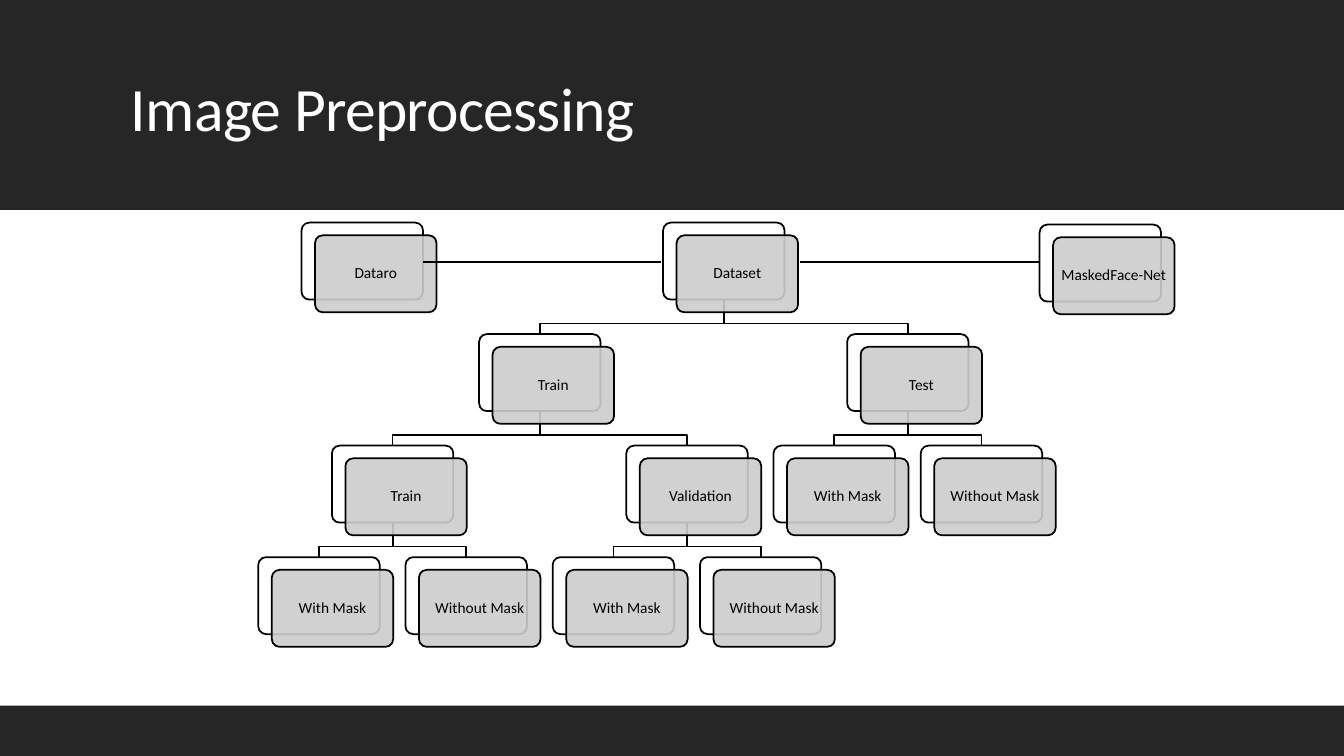
from lxml import etree
from pptx import Presentation
from pptx.dml.color import RGBColor
from pptx.enum.shapes import MSO_CONNECTOR, MSO_SHAPE
from pptx.enum.text import MSO_ANCHOR, PP_ALIGN
from pptx.oxml.ns import qn
from pptx.util import Cm, Pt

RECT = MSO_SHAPE.RECTANGLE
ROUND = MSO_SHAPE.ROUNDED_RECTANGLE
LINE = MSO_CONNECTOR.STRAIGHT
MIDDLE = MSO_ANCHOR.MIDDLE
LEFT = PP_ALIGN.LEFT
CENTER = PP_ALIGN.CENTER

COLORS = {"white": "FFFFFF", "dark": "262626", "grey": "CCCCCC", "black": "000000"}

WIDE, HIGH = 33.87, 19.05
CARD_W, CARD_H = 3.06, 1.94
SHIFT_X, SHIFT_Y = 0.34, 0.32
TREE_X, TREE_Y = 6.51, 5.61
STEP_X, STEP_Y = 3.71, 2.81
DROP = 0.6

# name, column, level, parent
NODES = [
    ("Dataset", 2.75, 0, None),
    ("Train", 1.5, 1, 0),
    ("Train", 0.5, 2, 1),
    ("With Mask", 0, 3, 2),
    ("Without Mask", 1, 3, 2),
    ("Validation", 2.5, 2, 1),
    ("With Mask", 2, 3, 5),
    ("Without Mask", 3, 3, 5),
    ("Test", 4, 1, 0),
    ("With Mask", 3.5, 2, 8),
    ("Without Mask", 4.5, 2, 8),
]
SOURCES = [("MaskedFace-Net", 26.2, 5.66), ("Dataro", 7.6, 5.61)]
LINKS = [(10.66, 16.67), (20.17, 26.19)]
LINK_Y = 6.6


def color(name):
    return RGBColor.from_string(COLORS[name])


def assign(target, values):
    for key, value in values.items():
        setattr(target, key, value)


class Board:
    font = "Calibri"
    edge = Pt(1.25)

    def __init__(self, slide):
        self.shapes = slide.shapes

    def stroke(self, shape, width):
        shape.line.color.rgb = color("black")
        shape.line.width = width

    def box(self, kind, x, y, w, h, fill):
        shape = self.shapes.add_shape(kind, Cm(x), Cm(y), Cm(w), Cm(h))
        shape.shadow.inherit = False
        shape.fill.solid()
        shape.fill.fore_color.rgb = color(fill)
        shape.line.fill.background()
        return shape

    def text(self, shape, words, size, ink, align, inset):
        frame = shape.text_frame
        sides = ("left", "top", "right", "bottom")
        assign(frame, {f"margin_{side}": Cm(inset) for side in sides})
        assign(frame, {"word_wrap": True, "vertical_anchor": MIDDLE})
        para = frame.paragraphs[0]
        assign(para, {"alignment": align, "line_spacing": 0.9})
        run = para.add_run()
        run.text = words
        assign(run.font, {"name": self.font, "size": Pt(size)})
        run.font.color.rgb = color(ink)
        return run

    def title(self, words):
        shape = self.shapes.add_textbox(Cm(3.05), Cm(0.79), Cm(27.94), Cm(4.04))
        run = self.text(shape, words, 44, "white", LEFT, 0.25)
        run.font._element.set("spc", "-50")

    def card(self, words, x, y):
        back = self.box(ROUND, x, y, CARD_W, CARD_H, "white")
        front = self.box(ROUND, x + SHIFT_X, y + SHIFT_Y, CARD_W, CARD_H, "grey")
        for shape in (back, front):
            shape.adjustments[0] = 0.1
            self.stroke(shape, self.edge)
        tint = front._element.spPr.find(qn("a:solidFill"))[0]
        etree.SubElement(tint, qn("a:alpha")).set("val", "90000")
        self.text(front, words, 11, "black", CENTER, 0.1)

    def elbow(self, start, end):
        (x, y), (to_x, to_y) = start, end
        bend = y + DROP
        pen = self.shapes.build_freeform(Cm(x), Cm(y))
        turns = [(x, bend), (to_x, bend), (to_x, to_y)]
        pen.add_line_segments([(Cm(a), Cm(b)) for a, b in turns], close=False)
        shape = pen.convert_to_shape()
        shape.shadow.inherit = False
        shape.fill.background()
        self.stroke(shape, self.edge)

    def link(self, x, to_x, y):
        line = self.shapes.add_connector(LINE, Cm(x), Cm(y), Cm(to_x), Cm(y))
        self.stroke(line, Pt(1))
        etree.SubElement(line._element.spPr, qn("a:effectLst"))


def place(node):
    return TREE_X + node[1] * STEP_X, TREE_Y + node[2] * STEP_Y


def main():
    deck = Presentation()
    assign(deck, {"slide_width": Cm(WIDE), "slide_height": Cm(HIGH)})
    board = Board(deck.slides.add_slide(deck.slide_layouts[6]))

    board.box(RECT, 0, 0, WIDE, HIGH, "white")
    board.box(RECT, 0, 0, WIDE, 5.29, "dark")
    board.title("Image Preprocessing")

    for node in NODES[1:]:
        x, y = place(NODES[node[3]])
        to_x, to_y = place(node)
        half = CARD_W / 2
        board.elbow((x + half, y + CARD_H), (to_x + half, to_y))
    for node in NODES:
        board.card(node[0], *place(node))
    for source in SOURCES:
        board.card(*source)

    board.box(RECT, 0, 17.78, WIDE, 1.27, "dark")
    for x, to_x in LINKS:
        board.link(x, to_x, LINK_Y)
    deck.save("out.pptx")


if __name__ == "__main__":
    main()
